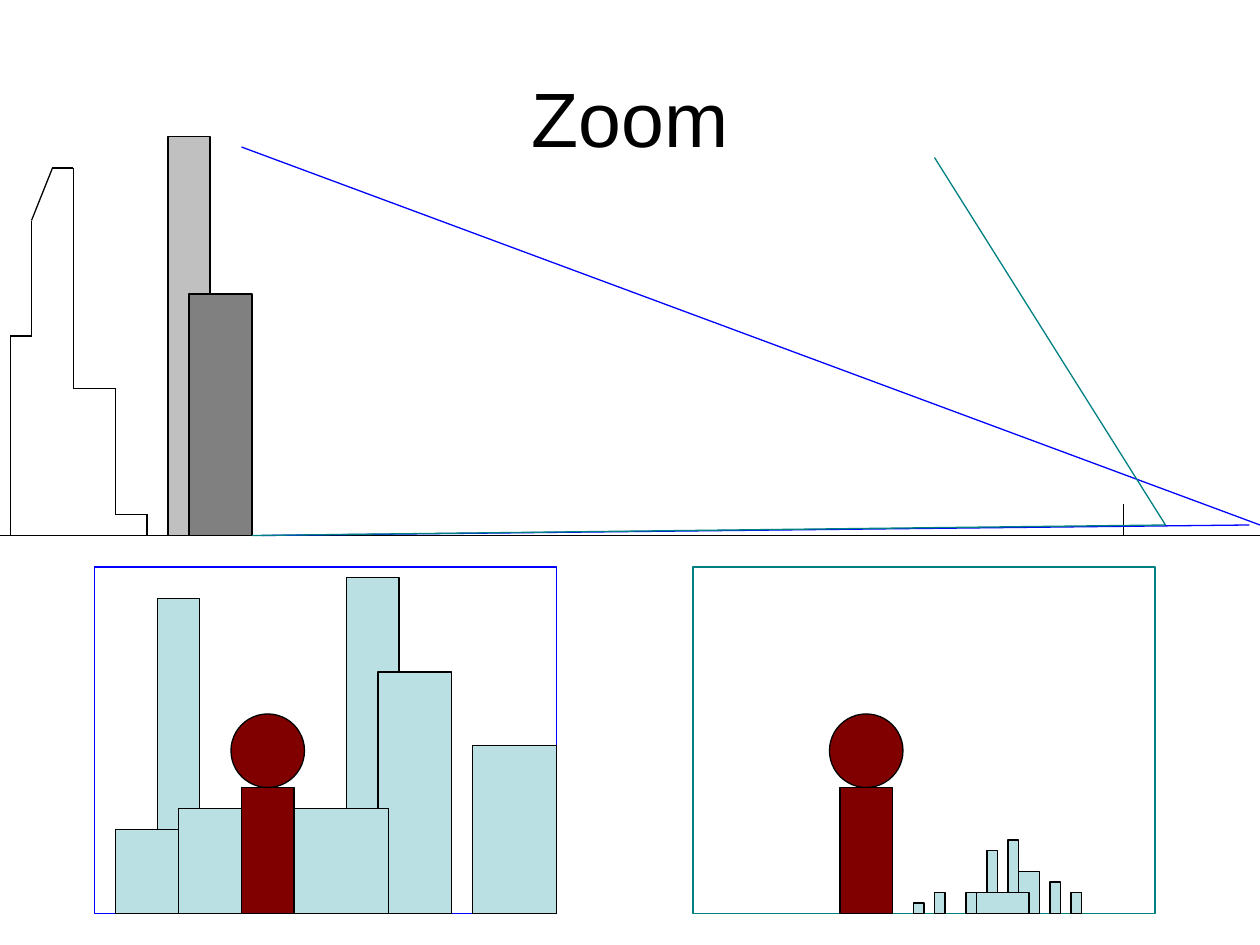
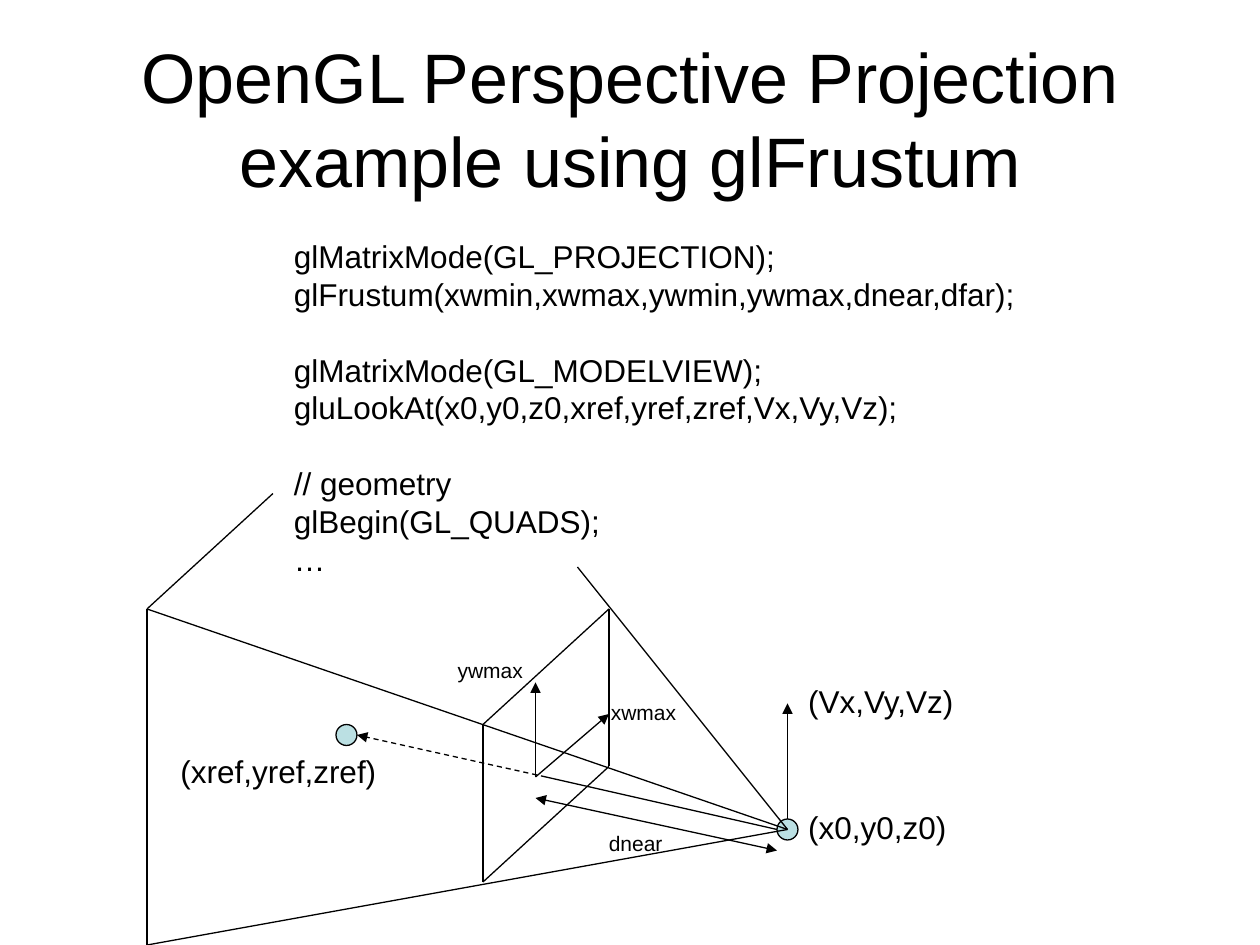
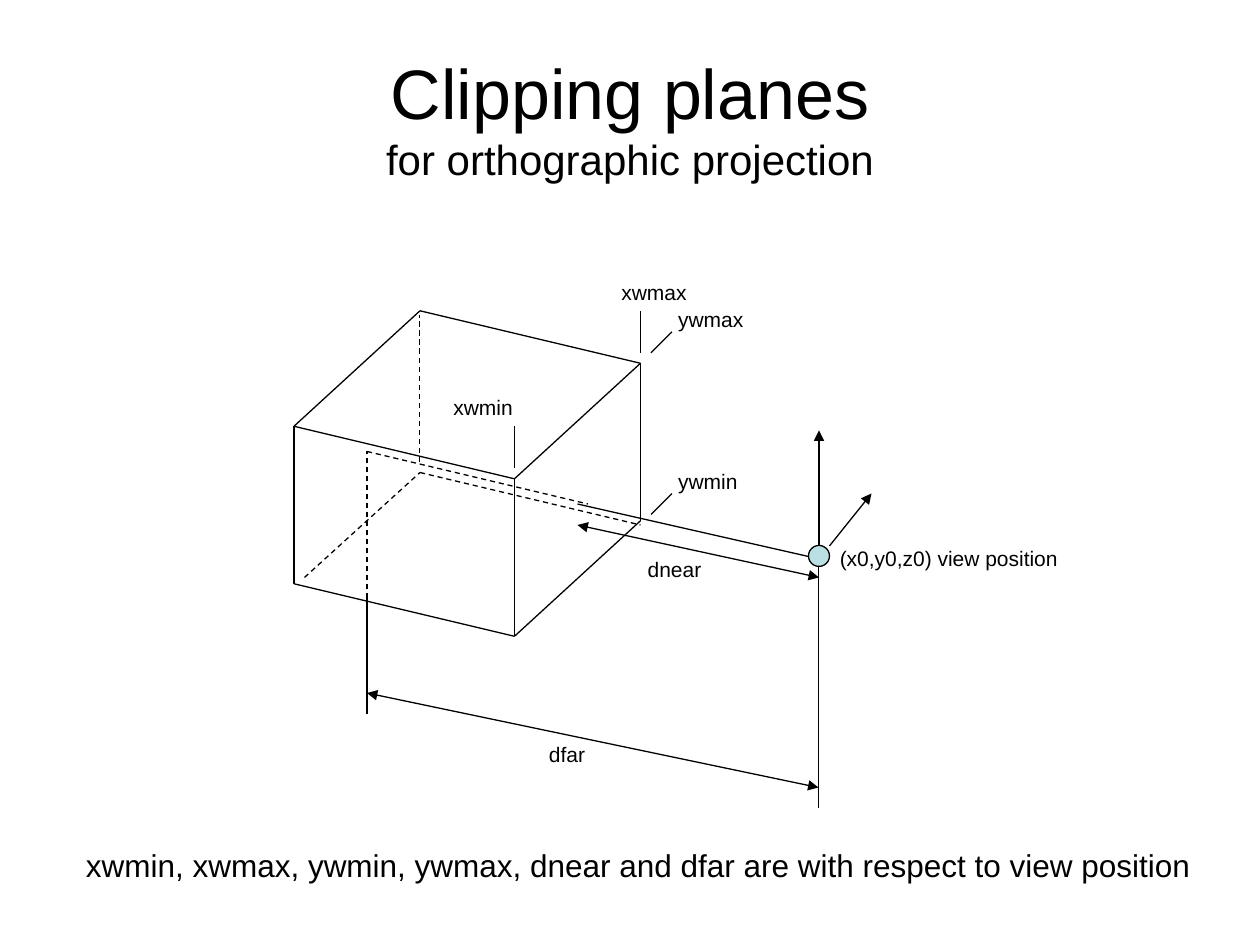
from itertools import pairwise

from lxml import etree
from pptx import Presentation
from pptx import util as u
from pptx.dml.color import RGBColor
from pptx.enum import dml, shapes, text
from pptx.oxml.ns import qn

COLS, ROWS = 120, 90
BLACK, BLUE, TEAL = "000000", "0000FF", "008080"
SILVER, GREY, PALE, MAROON = "C0C0C0", "808080", "BBE0E3", "800000"
BOX, DISC = shapes.MSO_SHAPE.RECTANGLE, shapes.MSO_SHAPE.OVAL


def cell(count):
    """Turn a count of grid cells, twelve to the inch, into a length."""
    return u.Inches(count / 12)


def hue(code):
    """Turn a hex string into a colour."""
    return RGBColor.from_string(code)


def write(para, words, size):
    """Add one run of black Arial."""
    run = para.add_run()
    run.text = words
    run.font.name = "Arial"
    run.font.size = u.Pt(size)
    run.font.color.rgb = hue(BLACK)


def page(deck, runs, top=3.6, high=15):
    """Add a slide whose title has one line for each (words, size) pair."""
    slide = deck.slides.add_slide(deck.slide_layouts[5])
    title = slide.shapes.title
    title.left, title.top = cell(6), cell(top)
    title.width, title.height = cell(COLS - 12), cell(high)
    frame = title.text_frame
    frame.auto_size = text.MSO_AUTO_SIZE.NONE
    frame.vertical_anchor = text.MSO_ANCHOR.MIDDLE
    para = frame.paragraphs[0]
    para.alignment = text.PP_ALIGN.CENTER
    for index, (words, size) in enumerate(runs):
        if index:
            para.add_line_break()
        write(para, words, size)
    return slide


def form(slide, kind, left, top, wide, high, fill=None, edge=BLACK):
    """Add an outlined shape, filled if a colour is given."""
    shape = slide.shapes.add_shape(kind, *map(cell, (left, top, wide, high)))
    shape.shadow.inherit = False
    if fill:
        shape.fill.solid()
        shape.fill.fore_color.rgb = hue(fill)
    else:
        shape.fill.background()
    shape.line.color.rgb = hue(edge)
    shape.line.width = u.Pt(0.75)


def line(slide, start, end, color=BLACK, dash=False, tips=()):
    """Add a straight line with arrowheads at the named ends."""
    link = slide.shapes.add_connector(
        shapes.MSO_CONNECTOR.STRAIGHT, *map(cell, (*start, *end)))
    link.line.width = u.Pt(0.75)
    link.line.color.rgb = hue(color)
    if dash:
        link.line.dash_style = dml.MSO_LINE.DASH
    props = link._element.spPr
    for tip in tips:
        etree.SubElement(props.find(qn("a:ln")), qn(f"a:{tip}End"), type="triangle")
    etree.SubElement(props, qn("a:effectLst"))


def trace(slide, *points, **look):
    """Join points in turn with lines."""
    for start, end in pairwise(points):
        line(slide, start, end, **look)


def arrow(slide, start, end, both=False, dash=False):
    """Add a line with an arrowhead at its end, or at both ends."""
    line(slide, start, end, dash=dash, tips=("head", "tail") if both else ("tail",))


def label(slide, left, top, wide, size, *blocks):
    """Add unwrapped text, with one empty row's space between blocks."""
    row = size / 5
    count = sum(map(len, blocks)) + len(blocks) - 1
    box = slide.shapes.add_textbox(
        *map(cell, (left, top, wide, count * row + 1.2)))
    frame = box.text_frame
    frame.word_wrap = False
    frame.auto_size = text.MSO_AUTO_SIZE.SHAPE_TO_FIT_TEXT
    para = None
    for block in blocks:
        for index, words in enumerate(block):
            fresh = para is None
            para = frame.paragraphs[0] if fresh else frame.add_paragraph()
            if not fresh and not index:
                para.space_before = u.Pt(size * 1.2)
            write(para, words, size)


def dot(slide, x, y):
    """Mark a point with a small disc."""
    form(slide, DISC, x - 1, y - 1, 2, 2, PALE)


def view(slide, left, edge, towers):
    """Add a framed view of a person before towers (left, top, width, base)."""
    form(slide, BOX, left, 54, 44, 33, edge=edge)
    for x, top, wide, base in towers:
        form(slide, BOX, x, top, wide, base - top, PALE)
    form(slide, DISC, left + 13, 68, 7, 7, MAROON)
    form(slide, BOX, left + 14, 75, 5, 12, MAROON)


def zoom(deck):
    """Build the slide on zoom."""
    slide = page(deck, [("Zoom", 44)])
    ground = 51
    line(slide, (0, ground), (COLS, ground))
    trace(slide, (1, ground), (1, 32), (3, 32), (3, 21), (5, 16), (7, 16),
          (7, 37), (11, 37), (11, 49), (14, 49), (14, ground))
    form(slide, BOX, 16, 13, 4, ground - 13, SILVER)
    form(slide, BOX, 18, 28, 6, ground - 28, GREY)
    line(slide, (107, ground), (107, 48))
    line(slide, (COLS, 50), (23, 14), BLUE)
    line(slide, (119, 50), (25, ground), BLUE)
    trace(slide, (89, 15), (111, 50), (24, ground), color=TEAL)
    view(slide, 9, BLUE, [
        (33, 55, 5, 87), (36, 64, 7, 87), (11, 79, 6, 87),
        (15, 57, 4, 79), (17, 77, 20, 87), (45, 71, 8, 87)])
    view(slide, 66, TEAL, [
        (97, 83, 2, 87), (93, 85, 5, 87), (94, 81, 1, 85),
        (100, 84, 1, 87), (92, 85, 1, 87), (96, 80, 1, 85),
        (89, 85, 1, 87), (87, 86, 1, 87), (102, 85, 1, 87)])


def frustum(deck):
    """Build the slide on perspective projection."""
    slide = page(deck, [("OpenGL Perspective Projection example using glFrustum", 40)],
                 2.5, 17.3)
    label(slide, 26.8, 22, 71.2, 18,
          ["glMatrixMode(GL_PROJECTION);",
           "glFrustum(xwmin,xwmax,ywmin,ywmax,dnear,dfar);"],
          ["glMatrixMode(GL_MODELVIEW);",
           "gluLookAt(x0,y0,z0,xref,yref,zref,Vx,Vy,Vz);"],
          ["// geometry", "glBegin(GL_QUADS);", "…"])
    eye, mid, far = (75, 79), (51, 74), (14, 58)
    arrow(slide, eye, (75, 67))
    arrow(slide, (52, 74), (34, 70), dash=True)
    dot(slide, 33, 70)
    dot(slide, *eye)
    trace(slide, (46, 69), (46, 84), (58, 73), (58, 58), (46, 69))
    line(slide, (74, 79), (52, 74))
    arrow(slide, mid, (58, 68))
    arrow(slide, mid, (51, 65))
    arrow(slide, (51, 76), (74, 81), both=True)
    trace(slide, far, (14, ROWS), eye, far, (26, 47))
    line(slide, eye, (55, 54))
    for words, left, top, wide, size in [
            ("(x0,y0,z0)", 75.8, 76.4, 15.6, 18),
            ("(Vx,Vy,Vz)", 75.8, 64.4, 16.6, 18),
            ("(xref,yref,zref)", 16, 71, 21.2, 18),
            ("xwmax", 57, 66, 8.7, 12),
            ("ywmax", 42.4, 62, 8.7, 12),
            ("dnear", 56.8, 78.5, 7.6, 12)]:
        label(slide, left, top, wide, size, [words])


def planes(deck):
    """Build the slide on clipping planes."""
    slide = page(deck, [("Clipping planes", 40), ("for orthographic projection", 24)])
    eye, rear = (78, 53), 34.95
    near = [(49, 45.6), (49, 60.6), (61, 49.6), (61, 34.6)]
    back = [(x - 21, y - 5) for x, y in near]
    trace(slide, *near, near[0])
    trace(slide, near[3], back[3], back[0], back[1], near[1])
    line(slide, back[0], near[0])
    trace(slide, (29, 55), (40, 45), (61, 50), dash=True)
    line(slide, (39.95, 44), (39.95, 30), dash=True)
    trace(slide, (rear, 57), (rear, 43), (56, 48), dash=True)
    line(slide, (rear, 57), (rear, 68))
    line(slide, (77.95, 54), (77.95, 77))
    line(slide, (77, 53), (55, 48))
    arrow(slide, eye, (78, 41))
    arrow(slide, (79, 52), (83, 47))
    dot(slide, 78, 52.95)
    arrow(slide, (55, 50), (78, 55), both=True)
    arrow(slide, (rear, 66), (77.95, 75), both=True)
    for x, y in (near[0], near[3]):
        line(slide, (x, y - 5), (x, y - 1))
    for y in (33.6, 49):
        line(slide, (62, y), (64, y - 2))
    for words, left, top, wide, size in [
            ("(x0,y0,z0) view position", 78.8, 51.4, 23.2, 12),
            ("dnear", 60.5, 52.4, 7.6, 12),
            ("xwmax", 58, 26, 8.7, 12),
            ("xwmin", 42, 37, 8.1, 12),
            ("ywmax", 63.4, 28.6, 8.7, 12),
            ("ywmin", 63.4, 44, 8.1, 12),
            ("dfar", 51.1, 70, 5.9, 12),
            ("xwmin, xwmax, ywmin, ywmax, dnear and dfar are with respect to view position",
             7, 80, 107.6, 18)]:
        label(slide, left, top, wide, size, [words])


def main():
    """Build the deck and save it."""
    deck = Presentation()
    deck.slide_width, deck.slide_height = cell(COLS), cell(ROWS)
    for build in (zoom, frustum, planes):
        build(deck)
    deck.save("out.pptx")


if __name__ == "__main__":
    main()
